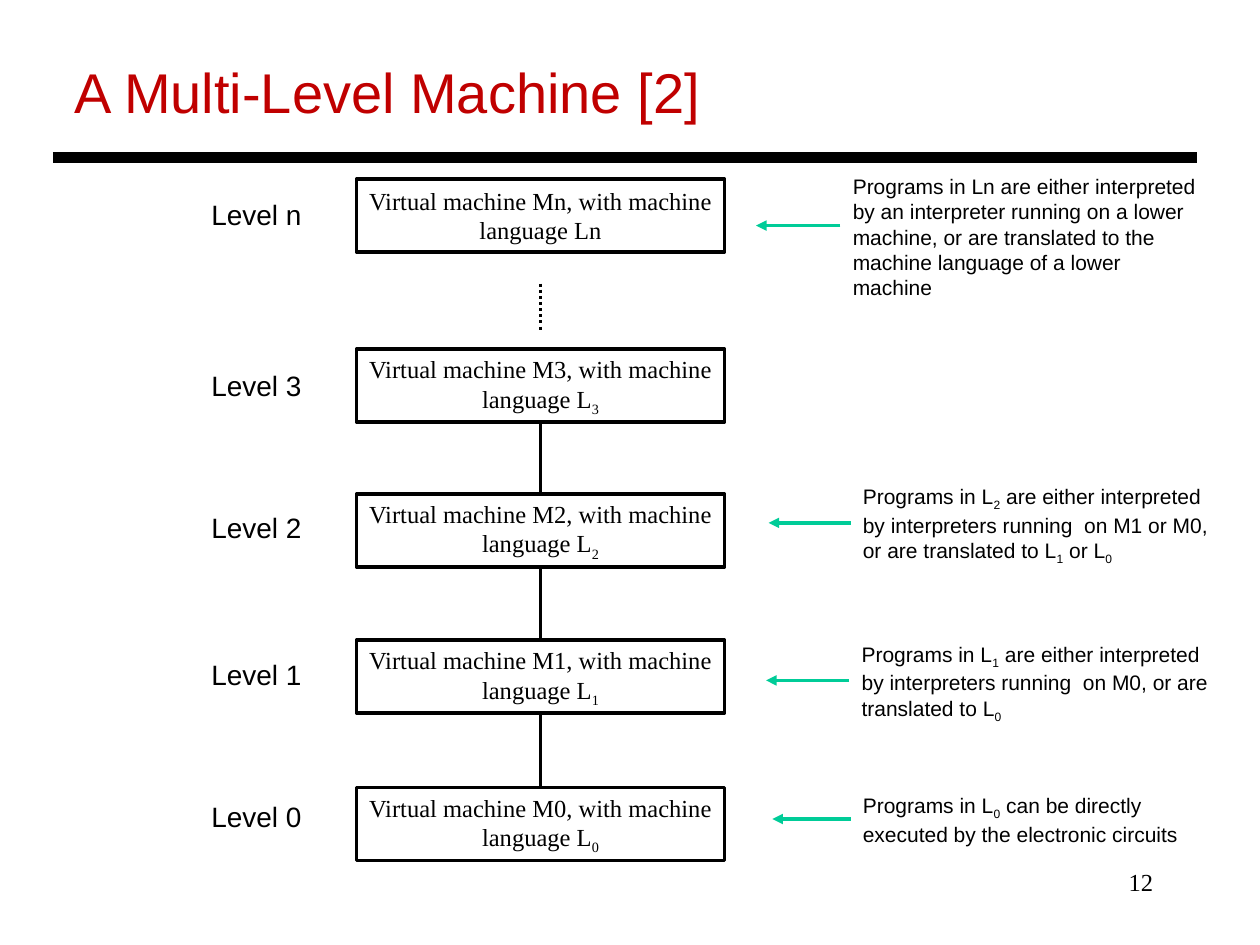
from lxml import etree
from pptx import Presentation
from pptx.dml.color import RGBColor
from pptx.enum import dml, shapes, text
from pptx.oxml import ns
from pptx.util import Inches, Pt

BLACK = RGBColor(0x00, 0x00, 0x00)
WHITE = RGBColor(0xFF, 0xFF, 0xFF)
RED = RGBColor(0xC0, 0x00, 0x00)
GREEN = RGBColor(0x00, 0xCC, 0x98)

TITLE = {"name": "Arial", "size": Pt(32), "color": RED}
LEVEL = {"name": "Arial", "size": Pt(16), "color": BLACK}
NOTE = {"name": "Arial", "size": Pt(12), "color": BLACK}
SERIF = {"name": "Times New Roman", "size": Pt(14), "color": BLACK}


def write(sp, content, fmt, align=text.PP_ALIGN.LEFT, anchor=text.MSO_ANCHOR.TOP, wrap=True):
    tf = sp.text_frame
    tf.word_wrap = wrap
    tf.auto_size = text.MSO_AUTO_SIZE.NONE
    tf.vertical_anchor = anchor
    p = tf.paragraphs[0]
    p.alignment = align
    first, *rest = content.split("_")
    pieces = [(first, False)]
    for part in rest:
        pieces += [(part[0], True), (part[1:], False)]
    for piece, subscript in pieces:
        if not piece:
            continue
        r = p.add_run()
        r.text = piece
        for key, value in fmt.items():
            if key == "color":
                r.font.color.rgb = value
            else:
                setattr(r.font, key, value)
        if subscript:
            r._r.get_or_add_rPr().set("baseline", "-25000")


def add_line(x1, y1, x2, y2, color, width, dash=None, arrow=False):
    cx = s.shapes.add_connector(shapes.MSO_CONNECTOR.STRAIGHT,
                                Inches(x1), Inches(y1), Inches(x2), Inches(y2))
    cx.line.color.rgb = color
    cx.line.width = Pt(width)
    if dash:
        cx.line.dash_style = dash
    if arrow:
        etree.SubElement(cx.line._get_or_add_ln(), ns.qn("a:tailEnd"), type="triangle")
    etree.SubElement(cx._element.spPr, ns.qn("a:effectLst"))


prs = Presentation()
prs.slide_width, prs.slide_height = Inches(10), Inches(7.5)
s = prs.slides.add_slide(prs.slide_layouts[5])

title = s.shapes.title
title.left, title.top, title.width, title.height = [Inches(v) for v in (0.49, 0.41, 5.32, 0.64)]
write(title, "A Multi-Level Machine [2]", TITLE, wrap=False)
add_line(0.42, 1.25, 9.5, 1.25, BLACK, 6)

BOX_LEFT, BOX_W, BOX_H = 2.83, 2.92, 0.58
MIDDLE = BOX_LEFT + BOX_W / 2
levels = [("n", "n", 1.42, 1.52), ("3", "_3", 2.77, 2.88), ("2", "_2", 3.92, 4),
          ("1", "_1", 5.08, 5.17), ("0", "_0", 6.25, 6.3)]

add_line(MIDDLE, 2.25, MIDDLE, 2.64, BLACK, 1.75, dash=dml.MSO_LINE.ROUND_DOT)
for upper, lower in zip(levels[1:], levels[2:]):
    add_line(MIDDLE, upper[2] + BOX_H, MIDDLE, lower[2], BLACK, 1.5)

for number, language, box_top, label_top in levels:
    sp = s.shapes.add_shape(shapes.MSO_SHAPE.RECTANGLE, Inches(BOX_LEFT), Inches(box_top),
                            Inches(BOX_W), Inches(BOX_H))
    sp.shadow.inherit = False
    sp.fill.solid()
    sp.fill.fore_color.rgb = WHITE
    sp.line.color.rgb = BLACK
    sp.line.width = Pt(2)
    write(sp, f"Virtual machine M{number}, with machine language L{language}", SERIF,
          text.PP_ALIGN.CENTER, text.MSO_ANCHOR.MIDDLE)
    label = s.shapes.add_textbox(Inches(1.58), Inches(label_top), Inches(1), Inches(0.37))
    write(label, f"Level {number}", LEVEL)

notes = [
    (6.67, 1.33, 1.1, 6, 1.79, "Programs in Ln are either interpreted by an interpreter running on a "
     "lower machine, or are translated to the machine language of a lower machine"),
    (6.75, 3.79, 0.76, 6.1, 4.15, "Programs in L_2 are either interpreted by interpreters running  "
     "on M1 or M0, or are translated to L_1 or L_0"),
    (6.74, 5.04, 0.76, 6.08, 5.4, "Programs in L_1 are either interpreted by interpreters running  "
     "on M0, or are translated to L_0"),
    (6.75, 6.24, 0.53, 6.13, 6.5, "Programs in L_0 can be directly executed by the electronic circuits"),
]
for left, top, height, tip, arrow_y, content in notes:
    note = s.shapes.add_textbox(Inches(left), Inches(top), Inches(3), Inches(height))
    write(note, content, NOTE)
    add_line(left, arrow_y, tip, arrow_y, GREEN, 2, arrow=True)

page = s.shapes.add_textbox(Inches(7.17), Inches(6.83), Inches(2.08), Inches(0.5))
write(page, "12", SERIF, text.PP_ALIGN.RIGHT)

prs.save("out.pptx")
